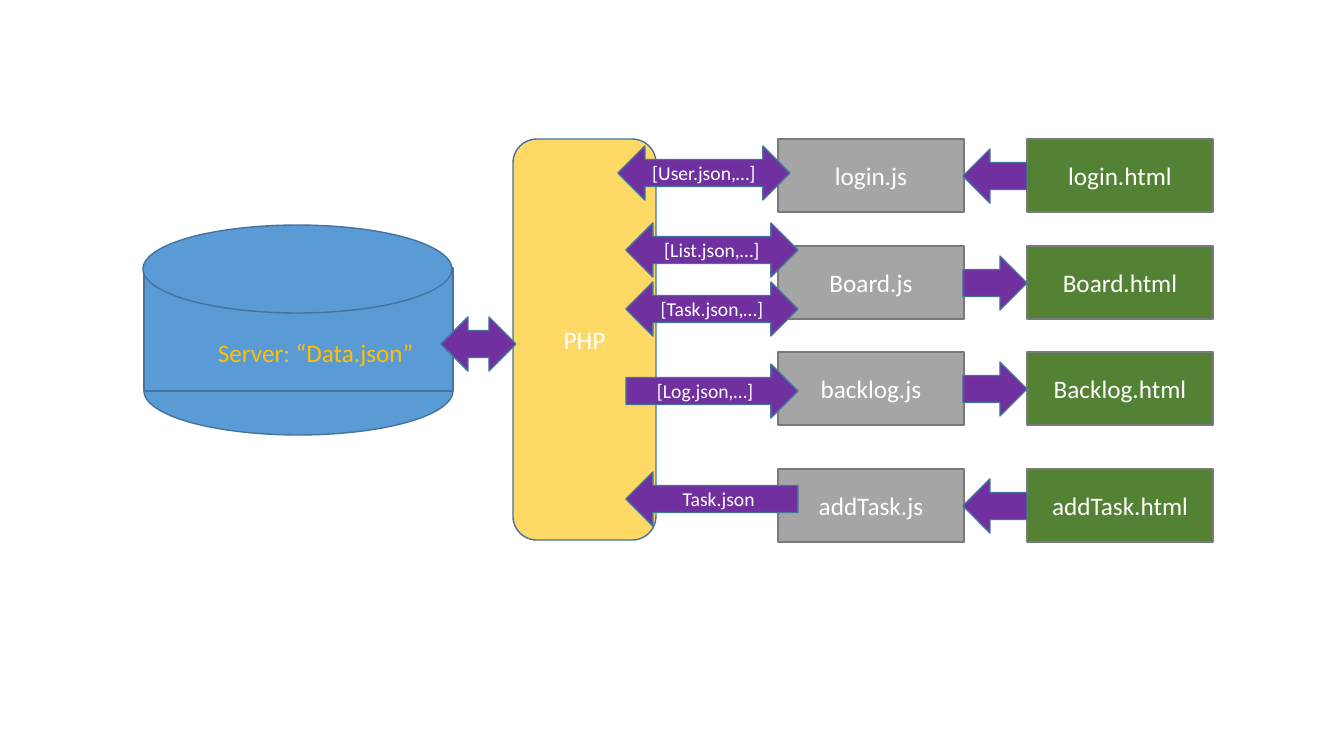
import pptx
import pptx.util
from pptx.dml.color import RGBColor
from pptx.enum.shapes import MSO_SHAPE as Kind
from pptx.enum.text import MSO_ANCHOR, PP_ALIGN

SCALE = 914400 / 100.8  # EMU in one px
BLUE, EDGE = "5B9BD5", "43739E"
GRAY, GREEN, RIM = "A5A5A5", "548235", "7A7A7A"
YELLOW, GOLD, PURPLE, WHITE = "FFD966", "FFC000", "7030A0", "FFFFFF"

ROW_H, CARD_W = 73, 186
JS_X, HTML_X = 778, 1027
ARROW_H = 54

# top, script, page, arrow between them
ROWS = [
    (139, "login.js", "login.html", Kind.LEFT_ARROW),
    (246, "Board.js", "Board.html", Kind.RIGHT_ARROW),
    (352, "backlog.js", "Backlog.html", Kind.RIGHT_ARROW),
    (469, "addTask.js", "addTask.html", Kind.LEFT_ARROW),
]
# left, top, label, arrow between PHP and script
CALLS = [
    (618, 146, "[User.json,…]", Kind.LEFT_RIGHT_ARROW),
    (626, 223, "[List.json,…]", Kind.LEFT_RIGHT_ARROW),
    (626, 282, "[Task.json,…]", Kind.LEFT_RIGHT_ARROW),
    (626, 364, "[Log.json,…]", Kind.RIGHT_ARROW),
    (626, 472, "Task.json", Kind.LEFT_ARROW),
]


def px(*nums):
    return [pptx.util.Emu(round(num * SCALE)) for num in nums]


def color(code):
    return RGBColor.from_string(code)


def write(shape, text, size, code, align):
    para = shape.text_frame.paragraphs[0]
    para.text = text
    para.alignment = align
    para.font.size = pptx.util.Pt(size)
    para.font.name = "Calibri"
    para.font.color.rgb = color(code)


def add_box(slide, kind, area, fill, edge=EDGE, text="", size=18):
    shape = slide.shapes.add_shape(kind, *px(*area))
    shape.shadow.inherit = False
    shape.fill.solid()
    shape.fill.fore_color.rgb = color(fill)
    shape.line.color.rgb = color(edge)
    shape.line.width = pptx.util.Pt(1)
    if text:
        shape.text_frame.vertical_anchor = MSO_ANCHOR.MIDDLE
        write(shape, text, size, WHITE, PP_ALIGN.CENTER)


def add_arrow(slide, kind, left, top, width, text=""):
    add_box(slide, kind, (left, top, width, ARROW_H), PURPLE, text=text, size=14)


def add_server(slide):
    add_box(slide, Kind.OVAL, (144, 347, 309, 88), BLUE)
    add_box(slide, Kind.RECTANGLE, (144, 268, 309, 123), BLUE)
    add_box(slide, Kind.OVAL, (143, 225, 309, 88), BLUE)
    label = slide.shapes.add_textbox(*px(208, 332, 218, 40))
    label.text_frame.word_wrap = False
    write(label, "Server: “Data.json”", 18, GOLD, PP_ALIGN.LEFT)


def main():
    deck = pptx.Presentation()
    deck.slide_width, deck.slide_height = px(1344, 756)
    slide = deck.slides.add_slide(deck.slide_layouts[6])

    # Data store
    add_server(slide)

    # Scripts and pages
    for top, script, page, _ in ROWS:
        add_box(slide, Kind.RECTANGLE, (HTML_X, top, CARD_W, ROW_H), GREEN, RIM, page)
        add_box(slide, Kind.RECTANGLE, (JS_X, top, CARD_W, ROW_H), GRAY, RIM, script)

    # PHP layer
    add_box(slide, Kind.FLOWCHART_ALTERNATE_PROCESS, (513, 139, 143, 401), YELLOW, text="PHP")

    # Arrows
    for left, top, label, kind in CALLS:
        add_arrow(slide, kind, left, top, 172, label)
    gap = JS_X + CARD_W
    for top, _, _, kind in ROWS:
        add_arrow(slide, kind, gap - 1, top + 10, HTML_X - gap + 1, "")
    add_arrow(slide, Kind.LEFT_RIGHT_ARROW, 441, 317, 75)

    deck.save("out.pptx")


if __name__ == "__main__":
    main()
